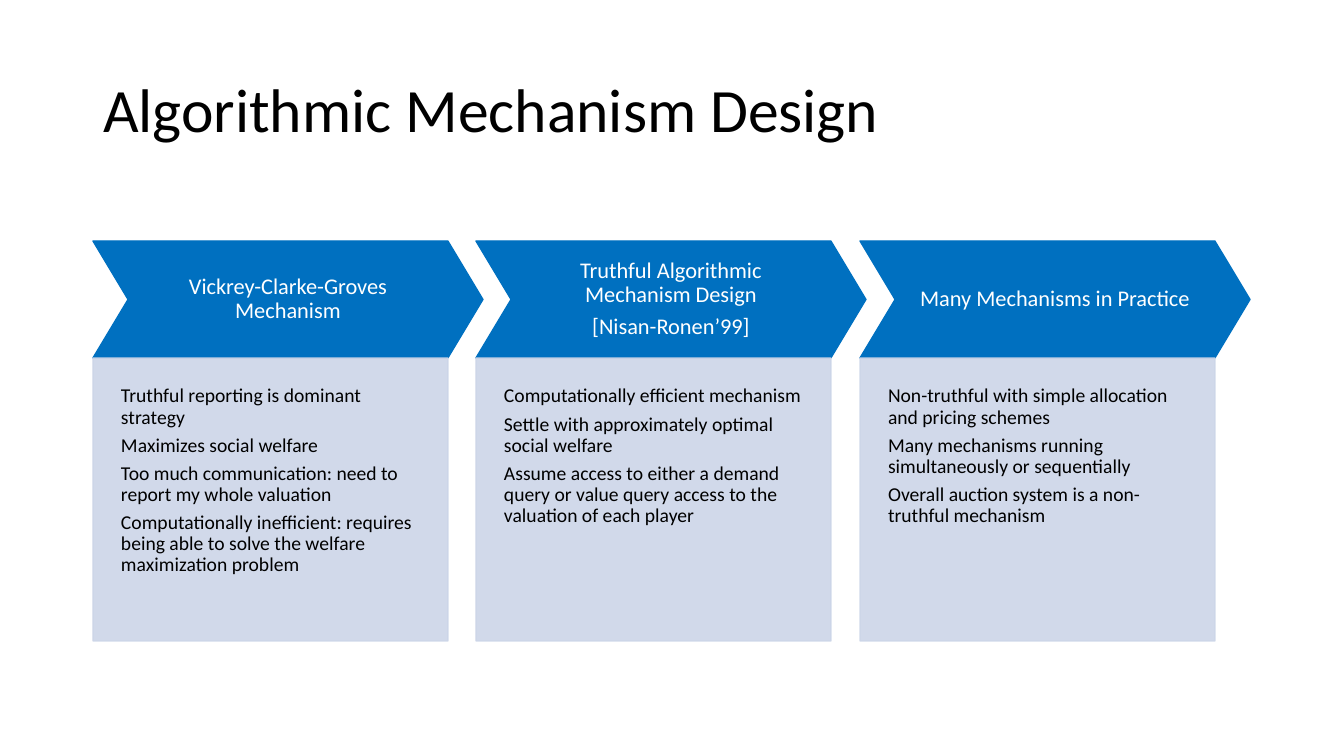
"""Builds the Algorithmic Mechanism Design slide: three chevrons over three panels."""
from dataclasses import dataclass

from lxml import etree
from pptx import Presentation
from pptx import util as u
from pptx.dml.color import RGBColor
from pptx.enum import shapes, text
from pptx.oxml.ns import qn

SCALE = 12192000 / 1344
COLORS = {"blue": "0070C0", "panel": "CCD5E8", "white": "FFFFFF", "black": "000000"}
LEFT, TOP, DOUBLE_PITCH = 93, 241, 767
HEAD_W, HEAD_H, PANEL_W, PANEL_H = 390, 117, 355, 283


@dataclass(frozen=True)
class Style:
    shape: shapes.MSO_SHAPE
    fill: str
    color: str
    size: int
    alpha: int
    align: text.PP_ALIGN
    anchor: text.MSO_ANCHOR
    margins: tuple[int, int, int, int]


@dataclass(frozen=True)
class Stage:
    heading: tuple[str, ...]
    points: tuple[str, ...]


HEAD = Style(shapes.MSO_SHAPE.CHEVRON, "blue", "white", 16, 100,
             text.PP_ALIGN.CENTER, text.MSO_ANCHOR.MIDDLE, (14, 14, 14, 14))
PANEL = Style(shapes.MSO_SHAPE.RECTANGLE, "panel", "black", 14, 90,
              text.PP_ALIGN.LEFT, text.MSO_ANCHOR.TOP, (28, 28, 28, 56))

STAGES = (
    Stage(("Vickrey-Clarke-Groves Mechanism",),
          ("Truthful reporting is dominant strategy",
           "Maximizes social welfare",
           "Too much communication: need to report my whole valuation",
           "Computationally inefficient: requires being able to solve "
           "the welfare maximization problem")),
    Stage(("Truthful Algorithmic Mechanism Design", "[Nisan-Ronen’99]"),
          ("Computationally efficient mechanism",
           "Settle with approximately optimal social welfare",
           "Assume access to either a demand query or value query access "
           "to the valuation of each player")),
    Stage(("Many Mechanisms in Practice",),
          ("Non-truthful with simple allocation and pricing schemes",
           "Many mechanisms running simultaneously or sequentially",
           "Overall auction system is a non-truthful mechanism")),
)


def px(n: int) -> u.Emu:
    return u.Emu(round(n * SCALE))


def rgb(name: str) -> RGBColor:
    return RGBColor.from_string(COLORS[name])


def apply(target, values: dict) -> None:
    for name, value in values.items():
        setattr(target, name, value)


def write(tf, lines: tuple[str, ...], size: int, color: str,
          align: text.PP_ALIGN, after: float) -> None:
    for i, line in enumerate(lines):
        p = tf.add_paragraph() if i else tf.paragraphs[0]
        apply(p, {"alignment": align, "line_spacing": 0.9,
                  "space_before": u.Pt(0), "space_after": u.Pt(after)})
        r = p.add_run()
        r.text = line
        apply(r.font, {"name": "Calibri", "size": u.Pt(size)})
        r.font.color.rgb = rgb(color)


def add_box(s, style: Style, box: tuple[int, int, int, int], lines: tuple[str, ...]):
    sp = s.shapes.add_shape(style.shape, *map(px, box))
    sp.shadow.inherit = False
    sp.fill.solid()
    sp.fill.fore_color.rgb = rgb(style.fill)
    sp.line.color.rgb = rgb(style.fill)
    sp.line.width = u.Pt(1)
    if style.alpha < 100:
        for clr in sp.element.spPr.iter(qn("a:srgbClr")):
            etree.SubElement(clr, qn("a:alpha"), val=str(style.alpha * 1000))
    tf = sp.text_frame
    sides = ("margin_left", "margin_top", "margin_right", "margin_bottom")
    apply(tf, {"word_wrap": True, "vertical_anchor": style.anchor,
               **dict(zip(sides, map(px, style.margins)))})
    write(tf, lines, style.size, style.color, style.align, round(style.size * 0.35, 1))
    return sp


def add_stage(s, index: int, stage: Stage) -> None:
    left = LEFT + DOUBLE_PITCH * index // 2
    chevron = add_box(s, HEAD, (left, TOP, HEAD_W, HEAD_H), stage.heading)
    chevron.adjustments[0] = 0.3
    add_box(s, PANEL, (left, TOP + HEAD_H, PANEL_W, PANEL_H), stage.points)


def main() -> None:
    prs = Presentation()
    apply(prs, {"slide_width": px(1344), "slide_height": px(756)})
    s = prs.slides.add_slide(prs.slide_layouts[5])
    title = s.shapes.title
    apply(title, {"left": px(93), "top": px(40), "width": px(1159), "height": px(146)})
    apply(title.text_frame, {"word_wrap": True, "auto_size": text.MSO_AUTO_SIZE.NONE,
                             "vertical_anchor": text.MSO_ANCHOR.MIDDLE})
    write(title.text_frame, ("Algorithmic Mechanism Design",), 44, "black",
          text.PP_ALIGN.LEFT, 0)
    for i, stage in enumerate(STAGES):
        add_stage(s, i, stage)
    prs.save("out.pptx")


if __name__ == "__main__":
    main()
